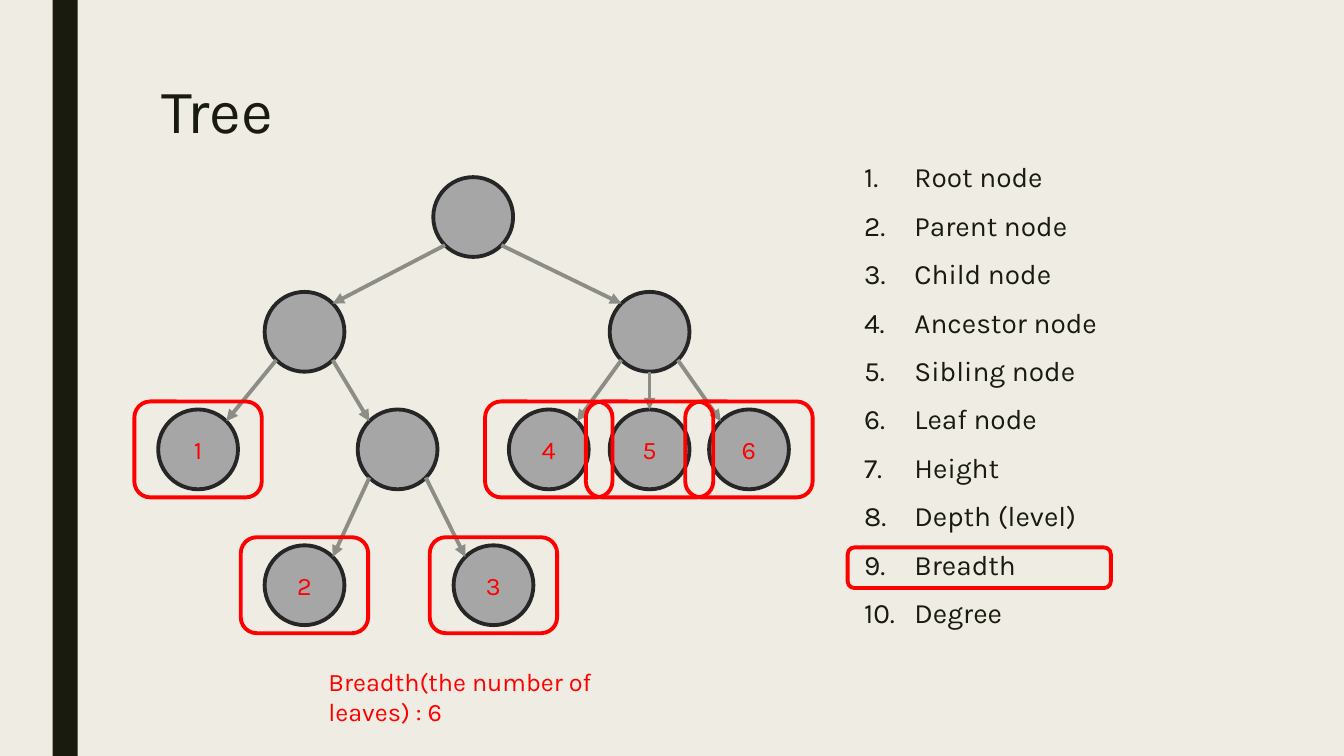
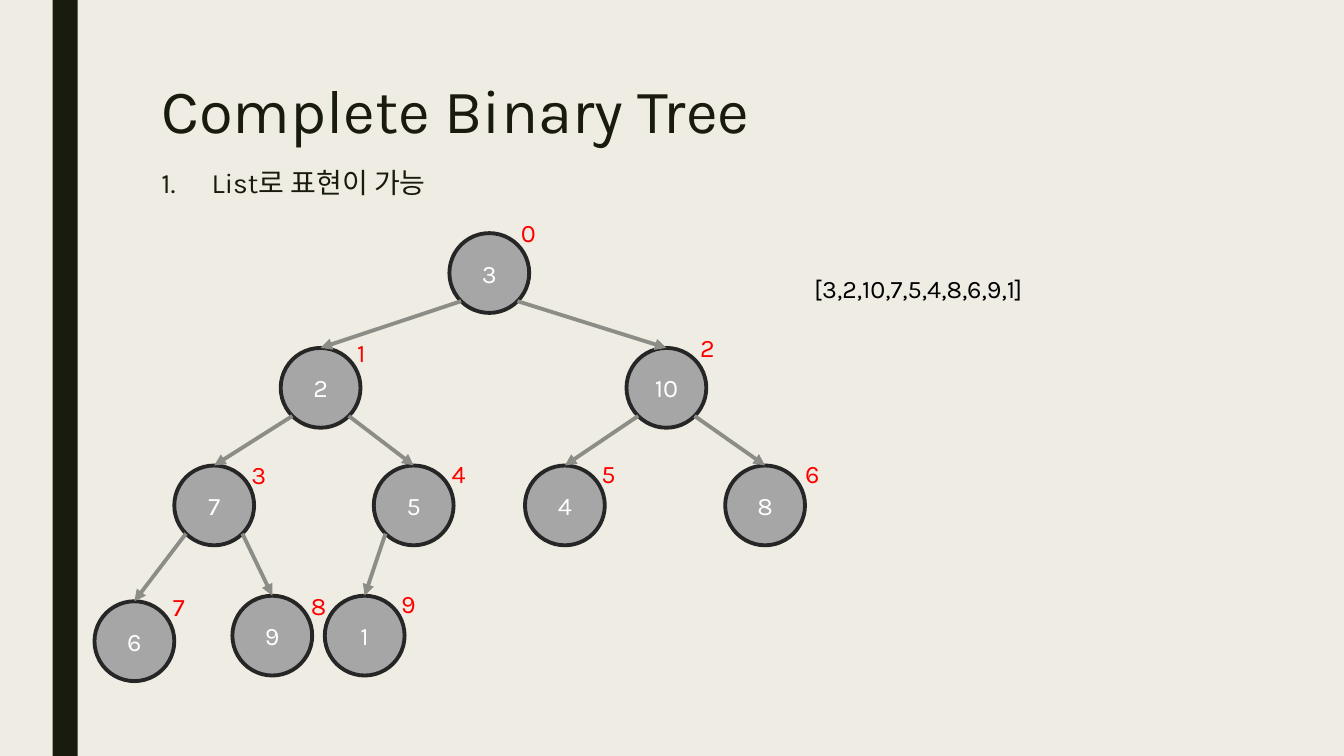
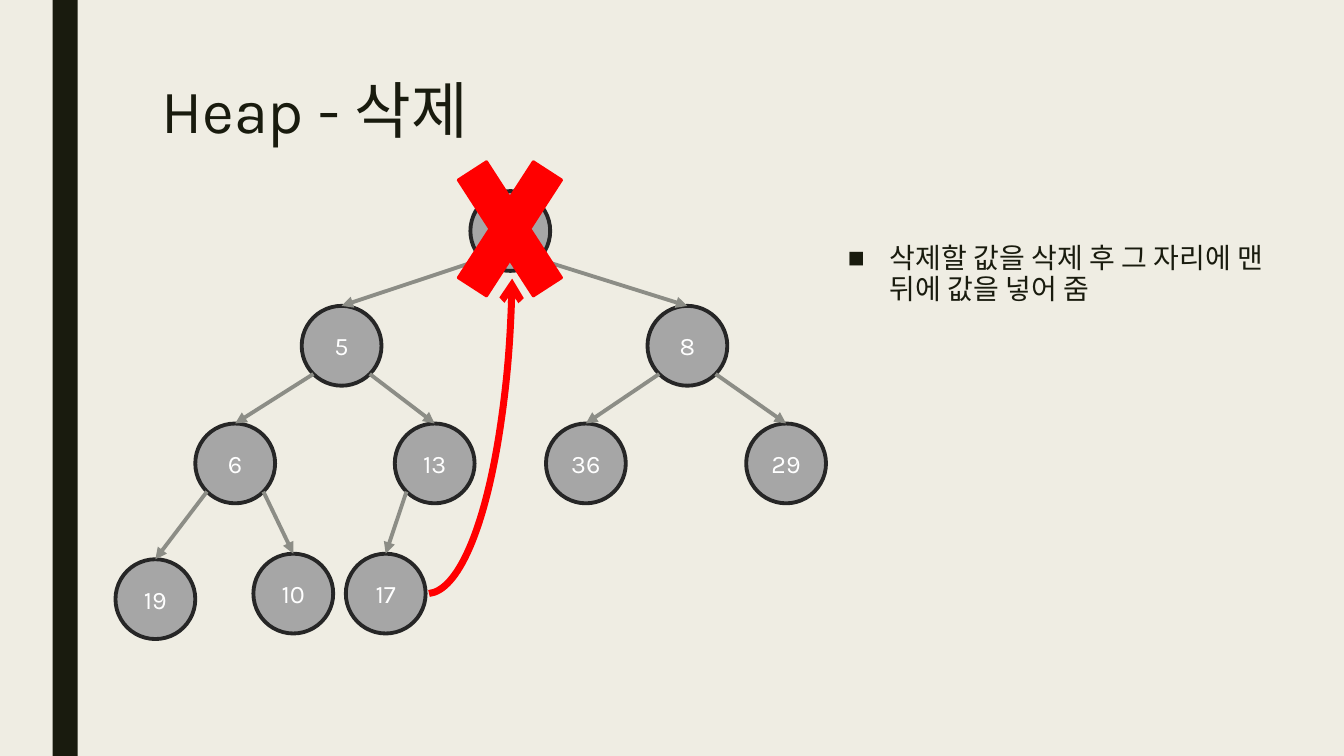
from lxml import etree
from pptx import Presentation
from pptx.dml.color import RGBColor
from pptx.enum.shapes import MSO_CONNECTOR, MSO_SHAPE
from pptx.enum.text import MSO_ANCHOR, MSO_AUTO_SIZE, PP_ALIGN
from pptx.oxml.ns import qn
from pptx.util import Pt

CIRCLE, ROUNDED, RECT = MSO_SHAPE.FLOWCHART_CONNECTOR, MSO_SHAPE.ROUNDED_RECTANGLE, MSO_SHAPE.RECTANGLE
CROSS, ARC, STRAIGHT = MSO_SHAPE.MATH_MULTIPLY, MSO_SHAPE.ARC, MSO_CONNECTOR.STRAIGHT
TOP, MIDDLE = MSO_ANCHOR.TOP, MSO_ANCHOR.MIDDLE
LEFT, CENTER = PP_ALIGN.LEFT, PP_ALIGN.CENTER
NO_FIT = MSO_AUTO_SIZE.NONE

PAPER = RGBColor(0xEF, 0xED, 0xE3)
INK = RGBColor(0x19, 0x1B, 0x0E)
NODE_GRAY = RGBColor(0xA6, 0xA6, 0xA6)
NODE_EDGE = RGBColor(0x26, 0x26, 0x26)
ARROW_GRAY = RGBColor(0x8C, 0x8D, 0x86)
RED = RGBColor(0xFF, 0x00, 0x00)
WHITE = RGBColor(0xFF, 0xFF, 0xFF)
BLACK = RGBColor(0x00, 0x00, 0x00)

FONT = "Karla"
STROKE = 2.75
DIAMETER = 57
RADIUS = DIAMETER / 2
DIAGONAL = RADIUS * 0.707
LEAF_BOX = (91, 68.5)
NUMBERED = ("buAutoNum", "type", "arabicPeriod", 36)
SQUARE = ("buChar", "char", "■", 30)

TERMS = ["Root node", "Parent node", "Child node", "Ancestor node", "Sibling node",
         "Leaf node", "Height", "Depth (level)", "Breadth", "Degree"]

TREE_ROOT = (309.5, 126.5)
TREE_NODES = [(0, 0), (-120.5, 82), (126, 82), (-196.5, 166), (-54, 166), (54, 166),
              (126, 166), (197, 166), (-120.5, 263), (14.5, 263)]
TREE_EDGES = [(0, 1), (0, 2), (1, 3), (1, 4), (2, 5), (2, 6), (2, 7), (4, 8), (4, 9)]
LEAVES = [3, 8, 9, 5, 6, 7]

BINARY_NODES = [(0, 0), (-120.5, 82), (126.5, 82), (-196.5, 166), (-54, 166), (54, 166),
                (197, 166), (-253.5, 263), (-155, 259), (-89, 259)]
BINARY_EDGES = [((child - 1) // 2, child) for child in range(1, len(BINARY_NODES))]

COMPLETE_ROOT = (321, 166.5)
COMPLETE_VALUES = [3, 2, 10, 7, 5, 4, 8, 6, 9, 1]
INDEX_OFFSETS = [(44, -15), (47.5, -11), (45.5, -14.5), (48, -8), (48.5, -8.5),
                 (47.5, -8.5), (50, -8.5), (49, -11), (49, -7.5), (47.5, -8.5)]

HEAP_ROOT = (336, 136.5)
HEAP_VALUES = ["", 5, 8, 6, 13, 36, 29, 19, 10, 17]


def style_text(frame, size, color, align=LEFT, anchor=TOP):
    frame.word_wrap = True
    frame.auto_size = NO_FIT
    frame.vertical_anchor = anchor
    for paragraph in frame.paragraphs:
        paragraph.alignment = align
        for run in paragraph.runs:
            run.font.name = FONT
            run.font.size = Pt(size)
            run.font.color.rgb = color


def place(shape, left, top, width, height):
    shape.left, shape.top, shape.width, shape.height = Pt(left), Pt(top), Pt(width), Pt(height)


def add_figure(slide, preset, box, fill=None, line=None, weight=STROKE, text="", color=WHITE):
    figure = slide.shapes.add_shape(preset, *map(Pt, box))
    figure.shadow.inherit = False
    if fill is None:
        figure.fill.background()
    else:
        figure.fill.solid()
        figure.fill.fore_color.rgb = fill
    if line is None:
        figure.line.fill.background()
    else:
        figure.line.color.rgb = line
        figure.line.width = Pt(weight)
    if text:
        figure.text_frame.text = text
        style_text(figure.text_frame, 18, color, CENTER, MIDDLE)
    return figure


def add_caption(slide, text, box, color):
    caption = slide.shapes.add_textbox(*map(Pt, box))
    caption.text_frame.text = text
    style_text(caption.text_frame, 18, color)


def add_arrowhead(stroked, kind):
    etree.SubElement(stroked.line._get_or_add_ln(), qn("a:tailEnd"), type=kind)


def add_arrow(slide, start, end):
    arrow = slide.shapes.add_connector(STRAIGHT, *map(Pt, start + end))
    arrow.line.color.rgb = ARROW_GRAY
    arrow.line.width = Pt(STROKE)
    add_arrowhead(arrow, "triangle")
    etree.SubElement(arrow.element.spPr, qn("a:effectLst"))


def add_tree(slide, root, offsets, edges, values, enter_at_top):
    corners = [(root[0] + dx, root[1] + dy) for dx, dy in offsets]
    for (left, top), value in zip(corners, values):
        add_figure(slide, CIRCLE, (left, top, DIAMETER, DIAMETER), NODE_GRAY, NODE_EDGE,
                   text=str(value))
    for parent, child in edges:
        (px, py), (cx, cy) = [(x + RADIUS, y + RADIUS) for x, y in (corners[parent], corners[child])]
        side = (cx > px) - (cx < px)
        start = (px + side * DIAGONAL, py + (DIAGONAL if side else RADIUS))
        if enter_at_top or not side:
            end = (cx, cy - RADIUS)
        else:
            end = (cx - side * DIAGONAL, cy - DIAGONAL)
        add_arrow(slide, start, end)
    return corners


def add_page(prs, heading, items, box, marker):
    slide = prs.slides.add_slide(prs.slide_layouts[1])
    title, body = slide.placeholders
    place(title, 108, 54, 756, 116.5)
    title.text_frame.text = heading
    style_text(title.text_frame, 44, INK)
    title.text_frame.paragraphs[0].line_spacing = 0.89

    place(body, *box)
    body.text_frame.text = "\n".join(items)
    style_text(body.text_frame, 20, INK)
    tag, attribute, value, indent = marker
    for paragraph in body.text_frame.paragraphs:
        paragraph.line_spacing = 0.94
        paragraph.space_before = Pt(10)
        paragraph.space_after = Pt(2)
        properties = paragraph._p.get_or_add_pPr()
        properties.set("marL", str(Pt(indent)))
        properties.set("indent", str(-Pt(indent)))
        etree.SubElement(properties, qn("a:" + tag)).set(attribute, value)
    return slide


def set_master(prs, slide):
    master = prs.slide_master
    master.background.fill.solid()
    master.background.fill.fore_color.rgb = PAPER
    band = add_figure(slide, RECT, (37.5, 0, 18, 540), INK)
    master.shapes.element.insert(2, band.element)


def build_breadth(prs):
    slide = add_page(prs, "Tree", TERMS, (610, 112.5, 281.5, 351), NUMBERED)
    set_master(prs, slide)
    corners = add_tree(slide, TREE_ROOT, TREE_NODES, TREE_EDGES, [""] * len(TREE_NODES), False)
    add_figure(slide, ROUNDED, (605.5, 391, 188, 29), line=RED)
    width, height = LEAF_BOX
    for number, leaf in enumerate(LEAVES, 1):
        left, top = corners[leaf]
        box = (left + (DIAMETER - width) / 2, top + (DIAMETER - height) / 2, width, height)
        add_figure(slide, ROUNDED, box, line=RED, text=str(number), color=RED)
    add_caption(slide, "Breadth(the number of leaves) : 6", (227.5, 472.5, 230, 29), RED)


def build_complete(prs):
    slide = add_page(prs, "Complete Binary Tree", ["List로 표현이 가능"],
                     (108, 116.5, 284.5, 69), NUMBERED)
    corners = add_tree(slide, COMPLETE_ROOT, BINARY_NODES, BINARY_EDGES, COMPLETE_VALUES, True)
    listing = ",".join(map(str, COMPLETE_VALUES))
    add_caption(slide, f"[{listing}]", (574.5, 192, 181, 29), BLACK)
    for index, ((left, top), (dx, dy)) in enumerate(zip(corners, INDEX_OFFSETS)):
        add_caption(slide, str(index), (left + dx, top + dy, 25.5, 29), RED)


def build_heap(prs):
    slide = add_page(prs, "Heap - 삭제", ["삭제할 값을 삭제 후 그 자리에 맨 뒤에 값을 넣어 줌"],
                     (598.5, 170, 352, 253.5), SQUARE)
    move = add_figure(slide, ARC, (61, 119, 487.5, 122.5), line=RED, weight=5)
    move.adjustments[0] = 108.24
    move.adjustments[1] = 151.76
    move.rotation = 90
    move.element.spPr.get_or_add_xfrm().set("flipH", "1")
    add_arrowhead(move, "arrow")
    add_tree(slide, HEAP_ROOT, BINARY_NODES, BINARY_EDGES, HEAP_VALUES, True)
    add_figure(slide, CROSS, (312.5, 83.5, 103.5, 160), RED, RED, 1.75)


def main():
    prs = Presentation()
    prs.slide_width, prs.slide_height = Pt(960), Pt(540)
    build_breadth(prs)
    build_complete(prs)
    build_heap(prs)
    prs.save("out.pptx")


if __name__ == "__main__":
    main()
